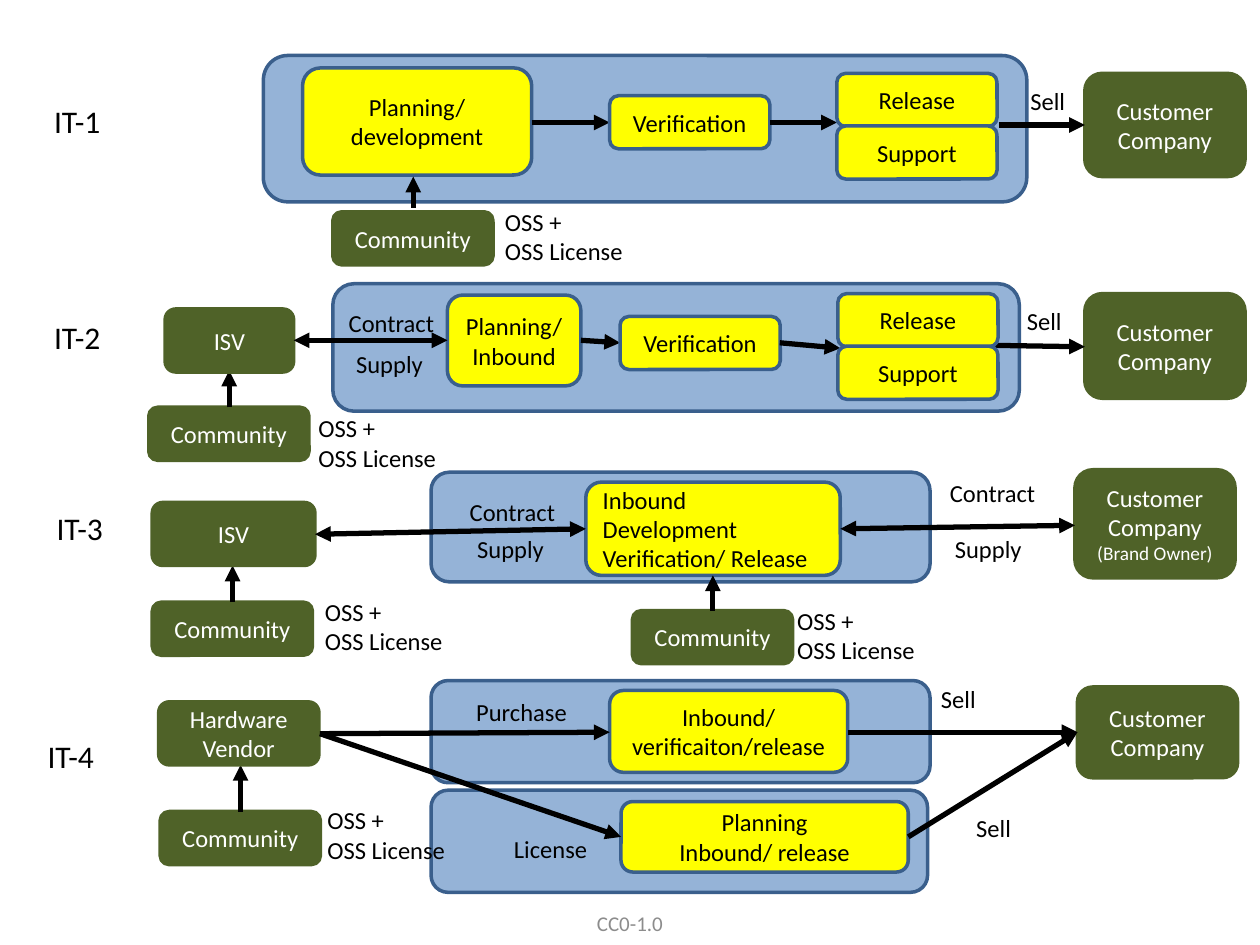
from pptx import Presentation
from pptx import util as u
from pptx.dml import color
from pptx.enum import shapes, text
from pptx.oxml import ns
from lxml import etree

HUES = {"panel": "95B3D7", "step": "FFFF00", "party": "4F6228", "edge": "3A5F8C",
        "ink": "000000", "pale": "FFFFFF", "foot": "8C8C8C"}
KINDS = {"panel": ("edge", "ink"), "step": ("edge", "ink"), "party": ("party", "pale")}
WIDE = {"Sell": 1.22, "Contract": 2.26, "Supply": 1.88, "Purchase": 2.36,
        "License": 2.01, "OSS +\nOSS License": 2.9}
OSS = "OSS +\nOSS License"
FIRM = "Customer Company"
MID = text.PP_ALIGN.CENTER
LEFT = text.PP_ALIGN.LEFT
UNIT_W, UNIT_H = 3.23, 1.07


def hue(name):
    """Return the named colour."""
    return color.RGBColor.from_string(HUES[name])


def put(item, vals):
    """Set each attribute in vals on item."""
    for key, val in vals.items():
        setattr(item, key, val)


def write(frame, words, size, ink, align):
    """Fill a text frame, one paragraph a line; parts after | are small."""
    for i, line in enumerate(words.split("\n")):
        para = frame.paragraphs[0] if i == 0 else frame.add_paragraph()
        para.alignment = align
        for j, part in enumerate(line.split("|")):
            run = para.add_run()
            run.text = part
            put(run.font, {"name": "Calibri", "size": u.Pt(11 if j else size)})
            run.font.color.rgb = hue(ink)


class Row:
    """A group of shapes placed from the corner of its box, in cm."""

    def __init__(self, page, left, top):
        self.items = page.shapes.add_group_shape().shapes
        self.left, self.top = left, top

    def spot(self, x, y):
        """Turn a place in the box into a place on the slide."""
        return u.Cm(self.left + x), u.Cm(self.top + y)

    def block(self, kind, x, y, w, h, words="", align=MID):
        """Draw a rounded block of the given kind."""
        edge, ink = KINDS[kind]
        item = self.items.add_shape(shapes.MSO_SHAPE.ROUNDED_RECTANGLE,
                                    *self.spot(x, y), u.Cm(w), u.Cm(h))
        item.shadow.inherit = False
        item.fill.solid()
        item.fill.fore_color.rgb = hue(kind)
        item.line.color.rgb = hue(edge)
        item.line.width = u.Pt(2)
        put(item.text_frame, {"word_wrap": True, "vertical_anchor": text.MSO_ANCHOR.MIDDLE})
        if words:
            write(item.text_frame, words, 14, ink, align)

    def note(self, words, x, y):
        """Place a loose label."""
        high = 0.86 if "\n" not in words else 1.45
        item = self.items.add_textbox(*self.spot(x, y), u.Cm(WIDE[words]), u.Cm(high))
        put(item.text_frame, {"word_wrap": False,
                              "auto_size": text.MSO_AUTO_SIZE.SHAPE_TO_FIT_TEXT})
        write(item.text_frame, words, 14, "ink", LEFT)

    def title(self, words, x, y):
        """Place the name of the row."""
        item = self.items.add_textbox(*self.spot(x, y), u.Cm(3.28), u.Cm(1.03))
        item.text_frame.word_wrap = True
        write(item.text_frame, words, 18, "ink", LEFT)

    def arrow(self, x1, y1, x2, y2, both=False):
        """Draw an arrow, with two heads if both is set."""
        item = self.items.add_connector(shapes.MSO_CONNECTOR.STRAIGHT,
                                        *self.spot(x1, y1), *self.spot(x2, y2))
        item.line.color.rgb = hue("ink")
        item.line.width = u.Pt(3)
        line = item.line._get_or_add_ln()
        for end in ("headEnd", "tailEnd") if both else ("tailEnd",):
            etree.SubElement(line, ns.qn("a:" + end), type="triangle")
        etree.SubElement(item._element.spPr, ns.qn("a:effectLst"))

    def source(self, x, y, tip, note, start=None):
        """Draw a community block, its arrow up to tip and its licence note."""
        self.block("party", x, y, UNIT_W, UNIT_H, "Community")
        self.arrow(x + 1.62, y if start is None else start, x + 1.62, tip)
        self.note(OSS, *note)

    def stack(self, x, y):
        """Draw the release and support steps, one on the other."""
        for i, name in enumerate(("Release", "Support")):
            self.block("step", x, y + i * 1.06, UNIT_W, UNIT_H, name)


def own(row):
    """IT-1: developed in house."""
    row.block("panel", 5.31, 0, 15.39, 2.95)
    row.title("IT-1", 0.84, 0.81)
    row.block("step", 6.1, 0.25, 4.62, 2.16, "Planning/\ndevelopment")
    row.arrow(10.72, 1.35, 12.29, 1.35)
    row.block("step", 12.29, 0.81, UNIT_W, UNIT_H, "Verification")
    row.arrow(15.52, 1.35, 16.87, 1.35)
    row.source(6.71, 3.15, 2.44, (9.93, 2.92), 3.07)
    row.block("party", 21.87, 0.36, UNIT_W, 2.08, FIRM)
    row.arrow(20.14, 1.4, 21.87, 1.4)
    row.stack(16.87, 0.36)
    row.note("Sell", 20.52, 0.48)


def bought(row):
    """IT-2: supplied by a software vendor."""
    row.title("IT-2", 0.84, 0.56)
    row.block("panel", 6.71, 0, 13.84, 2.57)
    row.block("step", 9.02, 0.23, 2.69, 1.83, "Planning/Inbound")
    row.arrow(11.71, 1.14, 12.5, 1.19)
    row.block("step", 12.5, 0.66, UNIT_W, UNIT_H, "Verification")
    row.arrow(15.72, 1.19, 16.94, 1.3)
    row.source(3, 2.49, 1.75, (6.17, 2.49))
    row.block("party", 21.87, 0.2, UNIT_W, 2.11, FIRM)
    row.arrow(19.89, 1.24, 21.87, 1.27)
    row.block("party", 3.33, 0.51, 2.59, 1.27, "ISV")
    row.arrow(5.92, 1.14, 9.02, 1.14, True)
    row.note("Contract", 6.78, 0.36)
    row.note("Sell", 20.45, 0.33)
    row.note("Supply", 6.93, 1.19)
    row.stack(16.89, 0.2)


def brand(row):
    """IT-3: made for a brand owner."""
    row.title("IT-3", 0.89, 0.66)
    row.block("panel", 8.69, 0.05, 10.06, 2.21)
    row.block("step", 11.81, 0.25, 5.13, 1.88,
              "Inbound\nDevelopment\nVerification/ Release", LEFT)
    row.source(3.07, 2.67, 1.93, (6.3, 2.44))
    row.block("party", 21.67, 0, UNIT_W, 2.18, FIRM + " |(Brand Owner)")
    row.arrow(16.94, 1.19, 21.67, 1.12, True)
    row.block("party", 3.07, 0.66, 3.28, 1.27, "ISV")
    row.arrow(6.35, 1.3, 11.81, 1.19, True)
    row.source(12.75, 2.84, 2.13, (15.82, 2.62))
    for words, x, y in (("Contract", 9.22, 0.43), ("Contract", 18.9, 0.05),
                        ("Supply", 9.37, 1.17), ("Supply", 19, 1.17)):
        row.note(words, x, y)


def hard(row):
    """IT-4: hardware bought and licensed."""
    row.title("IT-4", 0.71, 1.02)
    row.block("panel", 8.69, 0, 10.06, 2.06)
    row.block("panel", 8.69, 2.21, 10.01, 2.06)
    row.block("step", 12.29, 0.2, 4.8, 1.65, "Inbound/verificaiton/release")
    row.block("step", 12.52, 2.44, 5.79, 1.42, "Planning\nInbound/ release")
    row.source(3.23, 2.64, 1.7, (6.35, 2.39))
    row.block("party", 3.2, 0.43, UNIT_W, 1.27, "Hardware Vendor")
    row.block("party", 21.72, 0.13, UNIT_W, 1.83, FIRM)
    for ends in ((6.45, 1.07, 12.29, 1.04), (17.09, 1.04, 21.72, 1.04),
                 (6.45, 1.07, 12.52, 3.15), (18.31, 3.15, 21.72, 1.04)):
        row.arrow(*ends)
    for words, x, y in (("Purchase", 9.35, 0.2), ("License", 10.11, 2.97),
                        ("Sell", 18.72, -0.05), ("Sell", 19.43, 2.54)):
        row.note(words, x, y)


def foot(page, x, y, w, h):
    """Write the licence line in the given box."""
    item = page.shapes.add_textbox(*(u.Cm(n) for n in (x, y, w, h)))
    put(item.text_frame, {"word_wrap": True, "vertical_anchor": text.MSO_ANCHOR.MIDDLE})
    write(item.text_frame, "CC0-1.0", 12, "foot", MID)


deck = Presentation()
put(deck, {"slide_width": u.Cm(25.4), "slide_height": u.Cm(19.05)})
page = deck.slides.add_slide(deck.slide_layouts[6])
foot(page, 8.68, 18.1, 8.04, 1.01)
for draw, top in ((own, 1.12), (bought, 5.72), (brand, 9.47), (hard, 13.72)):
    draw(Row(page, 0, top))
deck.save("out.pptx")
